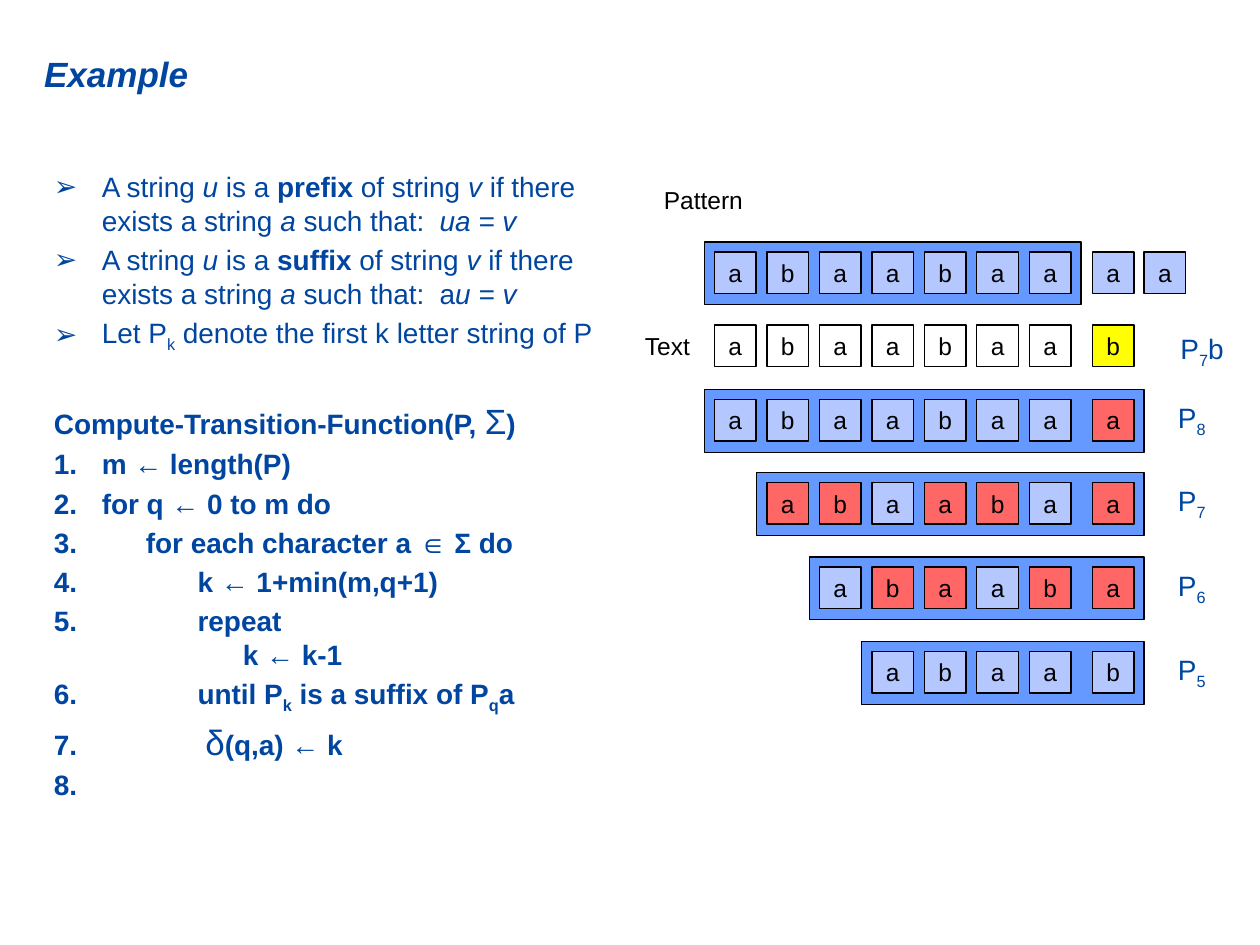
"""Build the slide on prefixes, suffixes and the transition function of a string automaton."""
import pptx
import pptx.dml.color
import pptx.enum.shapes
import pptx.enum.text
import pptx.util
from lxml import etree

Inches = pptx.util.Inches
Pt = pptx.util.Pt
rgb = pptx.dml.color.RGBColor.from_string
BLUE, BLACK = "0046A0", "000000"
A = "{http://schemas.openxmlformats.org/drawingml/2006/main}"
STYLES = {
    "plain": {},
    "italic": {"italic": True},
    "bold": {"bold": True},
    "title": {"bold": True, "italic": True, "size": Pt(20)},
    "greek": {"size": Pt(20)},
    "cell": {"size": Pt(14)},
    "sub": {},
    "boldsub": {"bold": True},
}


def write(paragraph, runs, hex_color):
    for text, style in runs:
        if text == "\n":
            paragraph.add_line_break()
            etree.SubElement(paragraph._p[-1], A + "rPr", sz="1600")
            continue
        run = paragraph.add_run()
        run.text = text
        values = {"name": "Arial", "size": Pt(16), "bold": False, "italic": False}
        for attribute, value in (values | STYLES[style]).items():
            setattr(run.font, attribute, value)
        run.font.color.rgb = rgb(hex_color)
        if style.endswith("sub"):
            run._r.get_or_add_rPr().set("baseline", "-25000")


def add_box(left, top, width, height, hex_fill):
    box = slide.shapes.add_shape(
        pptx.enum.shapes.MSO_SHAPE.RECTANGLE,
        Inches(left), Inches(top), Inches(width), Inches(height))
    box.shadow.inherit = False
    box.fill.solid()
    box.fill.fore_color.rgb = rgb(hex_fill)
    box.line.color.rgb = rgb(BLACK)
    box.line.width = Pt(0.75)
    return box


presentation = pptx.Presentation()
presentation.slide_width = Inches(10)
presentation.slide_height = Inches(7.5)
slide = presentation.slides.add_slide(presentation.slide_layouts[6])

title = slide.shapes.add_textbox(0, 0, Inches(6.85), Inches(1.17)).text_frame
title_format = {
    "word_wrap": True,
    "margin_left": Inches(0.35),
    "vertical_anchor": pptx.enum.text.MSO_ANCHOR.MIDDLE,
}
for attribute, value in title_format.items():
    setattr(title, attribute, value)
write(title.paragraphs[0], [("Example", "title")], BLUE)

definitions = [
    [("A string ", "plain"), ("u", "italic"), (" is a ", "plain"), (kind, "bold"),
     (" of string ", "plain"), ("v", "italic"), (" if there exists a string ", "plain"),
     ("a", "italic"), (" such that:\t ", "plain")] + equation
    for kind, equation in [
        ("prefix", [("ua = v", "italic")]),
        ("suffix", [("a", "plain"), ("u = v", "italic")]),
    ]
]
definitions.append([("Let P", "plain"), ("k", "sub"),
                    (" denote the first k letter string of P", "plain")])
heading = [("Compute-Transition-Function(P, ", "bold"), ("Σ", "greek"), (")", "bold")]
steps = [
    [("m ← length(P)", "bold")],
    [("for q ← 0 to m do", "bold")],
    [("\tfor each character a ∈ Σ do", "bold")],
    [("\t\tk ← 1+min(m,q+1)", "bold")],
    [("\t\trepeat", "bold"), ("\n", "bold"), ("\t\t\tk ← k-1", "bold")],
    [("\t\tuntil P", "bold"), ("k", "boldsub"), (" is a suffix of P", "bold"),
     ("q", "boldsub"), ("a", "bold")],
    [("\t\t ", "bold"), ("δ", "greek"), ("(q,a) ← k", "bold")],
    [("\t", "bold")],
]
bullet = [("buFont", {"typeface": "Arial"}), ("buChar", {"char": "➢"})]
number = [("buFont", {"typeface": "Arial"}), ("buAutoNum", {"type": "arabicPeriod"})]
lines = [(bullet, 3.2, runs) for runs in definitions]
lines.append(([("buNone", {})], 26, heading))
lines += [(number, 3.2, runs) for runs in steps]

body = slide.shapes.add_textbox(Inches(0.33), Inches(1.3), Inches(4.5), Inches(5.82)).text_frame
body.word_wrap = True
for index, (markers, space, runs) in enumerate(lines):
    paragraph = body.add_paragraph() if index else body.paragraphs[0]
    paragraph.space_before = Pt(space if index else 0)
    properties = paragraph._p.get_or_add_pPr()
    properties.set("marL", str(Inches(0.38)))
    properties.set("indent", str(Inches(-0.38)))
    for marker, marker_values in markers:
        etree.SubElement(properties, A + marker, marker_values)
    tabs = etree.SubElement(properties, A + "tabLst")
    for position in (0.73, 1.14):
        etree.SubElement(tabs, A + "tab", pos=str(Inches(position)), algn="l")
    write(paragraph, runs, BLUE)

fills = {"L": "B4C8FF", "W": "FFFFFF", "R": "FF6666", "Y": "FFFF01"}
column_lefts = [5.67 + 5 / 12 * column for column in range(7)] + [8.67, 9.08]
cell_format = {
    "word_wrap": False,
    "vertical_anchor": pptx.enum.text.MSO_ANCHOR.MIDDLE,
    "margin_left": 0, "margin_right": 0, "margin_top": 0, "margin_bottom": 0,
}
string_rows = [
    (2, 0, "abaabaaaa", "LLLLLLLLL", 8.58),
    (2.58, 0, "abaabaab", "WWWWWWWY", None),
    (3.17, 0, "abaabaaa", "LLLLLLLR", 9.08),
    (3.83, 1, "abaabaa", "RRLRRLR", 9.08),
    (4.5, 2, "abaaba", "LRRLRR", 9.08),
    (5.17, 3, "abaab", "LLLLL", 9.08),
]
for top, first_column, letters, fill_codes, frame_right in string_rows:
    lefts = column_lefts[first_column:]
    if frame_right:
        frame_left = lefts[0] - 0.08
        add_box(frame_left, top - 0.08, frame_right - frame_left, 0.5, "6699FF")
    for left, letter, code in zip(lefts, letters, fill_codes):
        cell = add_box(left, top, 0.33, 0.33, fills[code]).text_frame
        for attribute, value in cell_format.items():
            setattr(cell, attribute, value)
        cell.paragraphs[0].alignment = pptx.enum.text.PP_ALIGN.CENTER
        write(cell.paragraphs[0], [(letter, "cell")], BLACK)

labels = [
    (5.17, 1.42, 0.89, 0.33, [("Pattern", "cell")], BLACK),
    (5.02, 2.58, 0.89, 0.33, [("Text", "cell")], BLACK),
    (9.27, 2.58, 0.56, 0.37, [("P", "plain"), ("7", "sub"), ("b", "plain")], BLUE),
]
labels += [
    (9.25, row[0] - 0.04, 0.43, 0.37, [("P", "plain"), (length, "sub")], BLUE)
    for row, length in zip(string_rows[2:], "8765")
]
for left, top, width, height, runs, hex_color in labels:
    label = slide.shapes.add_textbox(
        Inches(left), Inches(top), Inches(width), Inches(height)).text_frame
    label.word_wrap = False
    write(label.paragraphs[0], runs, hex_color)

presentation.save("out.pptx")
